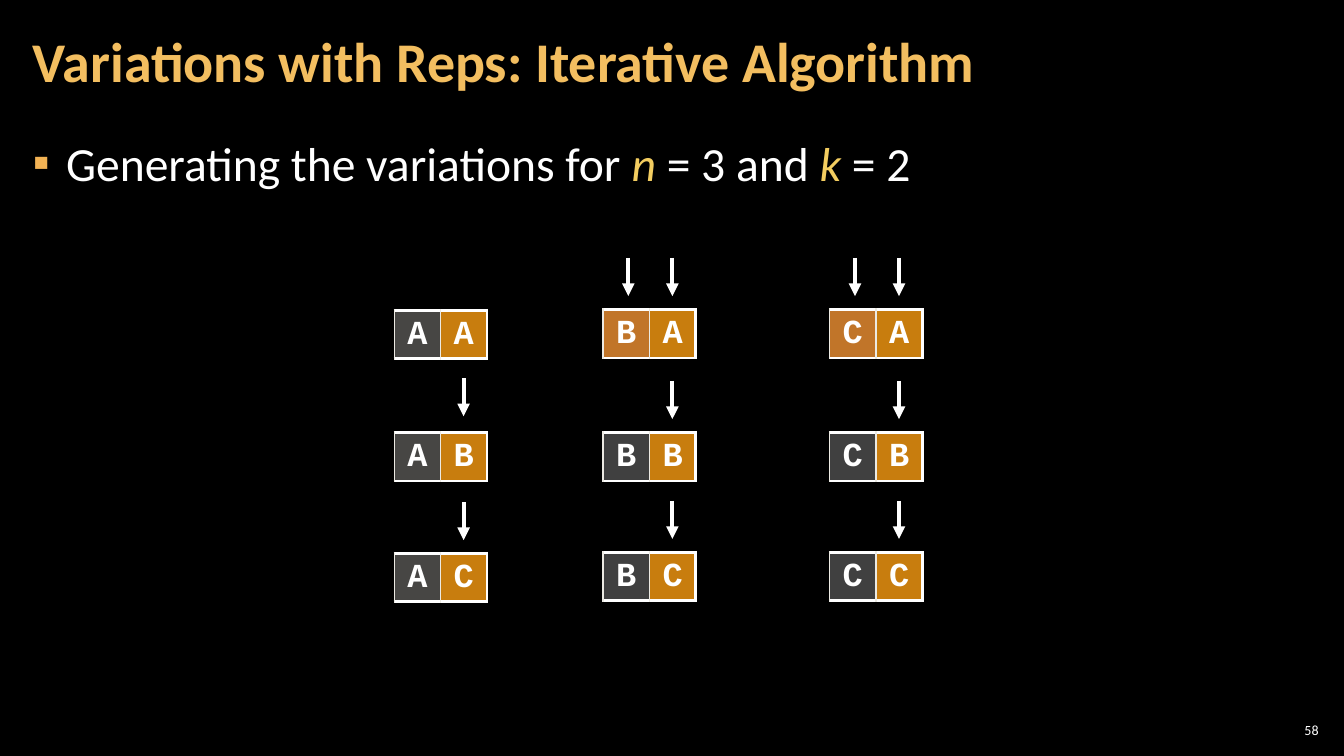
from lxml.etree import SubElement
from pptx import Presentation
from pptx.dml.color import RGBColor
from pptx.enum.shapes import MSO_CONNECTOR
from pptx.enum.text import MSO_ANCHOR, PP_ALIGN
from pptx.oxml.ns import qn
from pptx.util import Cm, Pt

WHITE = RGBColor(0xFF, 0xFF, 0xFF)
BLACK = RGBColor(0x00, 0x00, 0x00)
TITLE_GOLD = RGBColor(0xF3, 0xBE, 0x60)
VARIABLE_GOLD = RGBColor(0xF3, 0xCD, 0x60)
BULLET_GOLD = RGBColor(0xF2, 0xB2, 0x54)
IVORY = RGBColor(0xEC, 0xEA, 0xE3)
GREY = RGBColor(0x40, 0x40, 0x40)
CHANGED = RGBColor(0xC1, 0x75, 0x29)
ORANGE = RGBColor(0xC8, 0x7D, 0x0E)

TITLE = "Variations with Reps: Iterative Algorithm"
STATEMENT = [("Generating the variations for ", False), ("n", True),
             (" = 3 and ", False), ("k", True), (" = 2", False)]
PAGE_NUMBER = "58"
LETTERS = "ABC"

# First letter, left edge, table tops, tops of the arrows over the second letter (cm)
COLUMNS = [
    ("A", 9.93, (7.82, 10.9, 13.94), (9.53, 12.65)),
    ("B", 15.19, (7.8, 10.9, 13.92), (6.5, 9.6, 12.62)),
    ("C", 20.9, (7.8, 10.9, 13.92), (6.5, 9.6, 12.62)),
]
CELL = 1.17
ARROW_LENGTH = 0.96
FIRST_ARROW, SECOND_ARROW = 0.64, 1.75


def add_text_box(page, left, top, width, height, inset, anchor):
    box = page.shapes.add_textbox(Cm(left), Cm(top), Cm(width), Cm(height))
    frame = box.text_frame
    frame.word_wrap = True
    frame.vertical_anchor = anchor
    frame.margin_left = frame.margin_right = Cm(inset)
    frame.margin_top = frame.margin_bottom = Cm(0.1)
    return frame.paragraphs[0]


def add_span(para, text, size, color, font="Calibri", bold=False, italic=False):
    span = para.add_run()
    span.text = text
    span.font.name = font
    span.font.size = Pt(size)
    span.font.color.rgb = color
    span.font.bold = bold
    span.font.italic = italic


def add_bullet(para, mark, color, indent):
    properties = para._p.get_or_add_pPr()
    properties.set("marL", str(indent))
    properties.set("indent", str(-indent))
    bullet_color = SubElement(properties, qn("a:buClr"))
    SubElement(bullet_color, qn("a:srgbClr"), val=str(color))
    SubElement(properties, qn("a:buFont"), typeface="Calibri")
    SubElement(properties, qn("a:buChar"), char=mark)


def set_borders(cell, right):
    """Put cell borders before the fill, as the schema orders them."""
    properties = cell._tc.get_or_add_tcPr()
    sides = [("a:lnL", IVORY, 1), ("a:lnR", *right),
             ("a:lnT", WHITE, 2.25), ("a:lnB", WHITE, 2.25)]
    for position, (tag, color, width) in enumerate(sides):
        line = SubElement(properties, qn(tag), w=str(Pt(width)))
        fill = SubElement(line, qn("a:solidFill"))
        SubElement(fill, qn("a:srgbClr"), val=str(color))
        properties.insert(position, line)


def fill_cell(cell, letter, color, right, alpha=None):
    cell.fill.solid()
    cell.fill.fore_color.rgb = color
    if alpha:
        shade = cell._tc.tcPr.find(qn("a:solidFill")).find(qn("a:srgbClr"))
        SubElement(shade, qn("a:alpha"), val=str(alpha * 1000))
    set_borders(cell, right)
    cell.vertical_anchor = MSO_ANCHOR.MIDDLE
    para = cell.text_frame.paragraphs[0]
    para.alignment = PP_ALIGN.CENTER
    para.line_spacing = 0.95
    add_span(para, letter, 24, WHITE, "Courier New", bold=True)


def add_pair(page, left, top, first, second):
    table = page.shapes.add_table(1, 2, Cm(left), Cm(top), Cm(2 * CELL), Cm(CELL)).table
    table.first_row = table.horz_banding = False
    for column in table.columns:
        column.width = Cm(CELL)
    if first == "A":
        color, alpha = IVORY, 30
    else:
        color, alpha = (CHANGED if second == "A" else GREY), None
    fill_cell(table.cell(0, 0), first, color, (IVORY, 1), alpha)
    fill_cell(table.cell(0, 1), second, ORANGE, (WHITE, 2.25))


def add_down_arrow(page, x, top):
    arrow = page.shapes.add_connector(MSO_CONNECTOR.STRAIGHT, Cm(x), Cm(top),
                                      Cm(x), Cm(top + ARROW_LENGTH))
    arrow.line.color.rgb = WHITE
    arrow.line.width = Pt(3)
    SubElement(arrow.line._get_or_add_ln(), qn("a:tailEnd"), type="triangle")
    SubElement(arrow._element.spPr, qn("a:effectLst"))


def main():
    deck = Presentation()
    deck.slide_width, deck.slide_height = Cm(33.86), Cm(19.05)
    page = deck.slides.add_slide(deck.slide_layouts[6])
    page.background.fill.solid()
    page.background.fill.fore_color.rgb = BLACK

    para = add_text_box(page, 32.13, 18.14, 1.19, 0.53, 0.1, MSO_ANCHOR.MIDDLE)
    para.alignment = PP_ALIGN.RIGHT
    add_span(para, PAGE_NUMBER, 10, WHITE)

    para = add_text_box(page, 0.53, 0.1, 26.6, 3.07, 0.3, MSO_ANCHOR.MIDDLE)
    para.line_spacing = 0.9
    add_span(para, TITLE, 40, TITLE_GOLD, bold=True)

    para = add_text_box(page, 0.53, 3.2, 32.8, 15.47, 0.3, MSO_ANCHOR.TOP)
    add_bullet(para, "▪", BULLET_GOLD, Cm(0.84))
    para.line_spacing = 1.05
    para.space_after = Pt(6)
    for text, is_variable in STATEMENT:
        add_span(para, text, 34, VARIABLE_GOLD if is_variable else WHITE, italic=is_variable)

    for first, left, tops, arrow_tops in COLUMNS:
        for second, top in zip(LETTERS, tops):
            add_pair(page, left, top, first, second)
        for top in arrow_tops:
            add_down_arrow(page, left + SECOND_ARROW, top)
        if first != "A":
            add_down_arrow(page, left + FIRST_ARROW, arrow_tops[0])

    deck.save("out.pptx")


if __name__ == "__main__":
    main()
